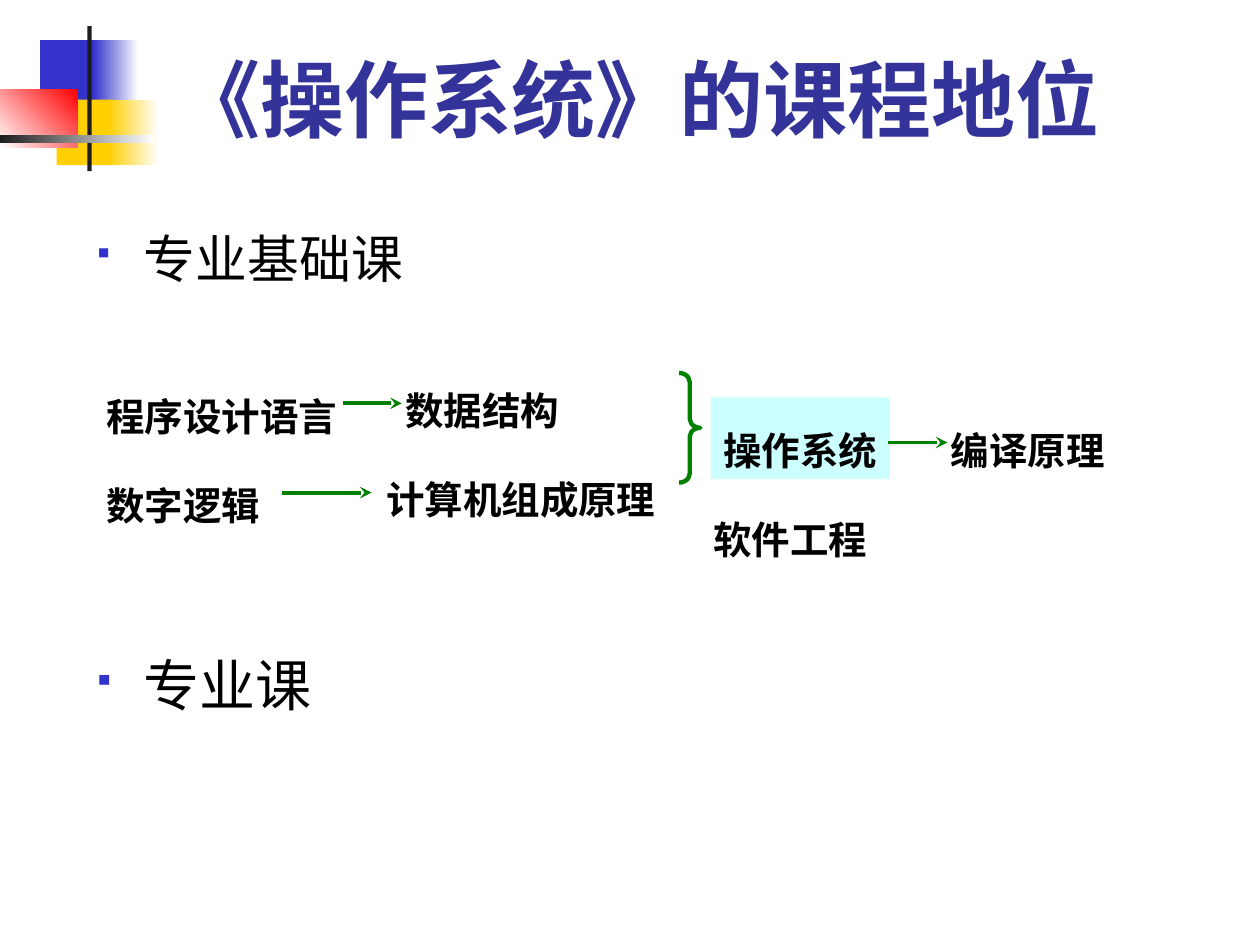
import pptx
import pptx.dml.color
import pptx.enum.shapes
import pptx.enum.text
import pptx.oxml
import pptx.oxml.ns
import pptx.util
from pptx.util import Cm, Pt

RGBColor = pptx.dml.color.RGBColor
MSO_SHAPE = pptx.enum.shapes.MSO_SHAPE
ANCHOR = pptx.enum.text.MSO_ANCHOR
BLUE = RGBColor(0x33, 0x33, 0xCC)
NAVY = RGBColor(0x33, 0x33, 0x99)
YELLOW = RGBColor(0xFF, 0xCF, 0x01)
RED = RGBColor(0xFF, 0x00, 0x00)
DARK = RGBColor(0x1C, 0x1C, 0x1C)
GREEN = RGBColor(0x00, 0x80, 0x00)
CYAN = RGBColor(0xCC, 0xFF, 0xFF)
WHITE = RGBColor(0xFF, 0xFF, 0xFF)
BLACK = RGBColor(0x00, 0x00, 0x00)
NAMESPACE = pptx.oxml.ns.nsdecls("a")

deck = pptx.Presentation()
deck.slide_width = Cm(25.4)
deck.slide_height = Cm(19.05)
page = deck.slides.add_slide(deck.slide_layouts[6])


def add_text(words, left, top, width, height, size, color=BLACK, bold=False,
             spacing=1.0, before=0.0, wrap=True):
    """Add a one-paragraph text box and return it."""
    box = page.shapes.add_textbox(Cm(left), Cm(top), Cm(width), Cm(height))
    box.text_frame.word_wrap = wrap
    para = box.text_frame.paragraphs[0]
    para.line_spacing = spacing
    para.space_before = Pt(before)
    span = para.add_run()
    span.text = words
    span.font.name = "Lato"
    span.font.size = Pt(size)
    span.font.bold = bold
    span.font.color.rgb = color
    return box


# Corner ornament: left, top, width, height, start colour, end colour, angle
ornament = [
    (0.81, 0.81, 1.22, 1.32, BLUE, None, 0),
    (1.88, 0.81, 0.91, 1.32, BLUE, WHITE, 0),
    (1.14, 2.01, 1.17, 1.32, YELLOW, None, 0),
    (2.18, 2.01, 1.02, 1.32, YELLOW, WHITE, 0),
    (0, 1.8, 1.57, 1.17, WHITE, RED, 45),
    (1.76, 0.53, 0.09, 2.92, DARK, None, 0),
    (0, 2.72, 3.1, 0.16, DARK, WHITE, 0),
]
for left, top, width, height, start, end, angle in ornament:
    block = page.shapes.add_shape(MSO_SHAPE.RECTANGLE, Cm(left), Cm(top), Cm(width), Cm(height))
    block.shadow.inherit = False
    block.line.fill.background()
    if end is None:
        block.fill.solid()
        block.fill.fore_color.rgb = start
    else:
        block.fill.gradient()
        block.fill.gradient_angle = angle
        for stop, color in zip(block.fill.gradient_stops, (start, end)):
            stop.color.rgb = color

title = add_text("《操作系统》的课程地位", 3.3, 0.53, 21.64, 2.59, 48, NAVY, bold=True)
title.text_frame.vertical_anchor = ANCHOR.BOTTOM

# Bulleted headings; the Wingdings section sign draws a small square
for words, top, size, spacing in [("专业基础课", 3.94, 29.6, 1.4), ("专业课", 12.32, 32, 1.5)]:
    heading = add_text(words, 1.7, top, 22.6, 2, size, spacing=spacing, before=8)
    properties = heading.text_frame.paragraphs[0]._p.get_or_add_pPr()
    properties.set("marL", str(Cm(0.95)))
    properties.set("indent", str(Cm(-0.95)))
    for markup in (
        f'<a:buClr {NAMESPACE}><a:srgbClr val="{BLUE}"/></a:buClr>',
        f'<a:buSzPct {NAMESPACE} val="60000"/>',
        f'<a:buFont {NAMESPACE} typeface="Wingdings" charset="2"/>',
        f'<a:buChar {NAMESPACE} char="§"/>',
    ):
        properties.append(pptx.oxml.parse_xml(markup))

# Courses: name, left, top, width, wraps, fill
courses = [
    ("程序设计语言", 1.9, 7.34, 5.66, True, None),
    ("数据结构", 7.92, 7.21, 3.63, False, None),
    ("数字逻辑", 1.9, 9.12, 4.06, True, None),
    ("计算机组成原理", 7.54, 9, 6.1, False, None),
    ("操作系统", 14.33, 8.01, 3.61, False, CYAN),
    ("编译原理", 18.92, 8.01, 3.63, False, None),
    ("软件工程", 14.13, 9.82, 3.63, False, None),
]
for words, left, top, width, wrap, color in courses:
    course = add_text(words, left, top, width, 1.65, 22, bold=True,
                      spacing=1.5, before=5.5, wrap=wrap)
    course.text_frame.paragraphs[0].alignment = pptx.enum.text.PP_ALIGN.LEFT
    if color is not None:
        course.fill.solid()
        course.fill.fore_color.rgb = color

# Arrows between courses: start, end, height on the page
for start, end, level in [(6.91, 8.1, 8.13), (5.69, 7.49, 9.93), (17.91, 19.1, 8.92)]:
    arrow = page.shapes.add_connector(
        pptx.enum.shapes.MSO_CONNECTOR.STRAIGHT, Cm(start), Cm(level), Cm(end), Cm(level))
    arrow.line.color.rgb = GREEN
    arrow.line.width = Pt(2.24)
    arrow.line._get_or_add_ln().append(
        pptx.oxml.parse_xml(f'<a:tailEnd {NAMESPACE} type="stealth"/>'))
    arrow._element.spPr.append(pptx.oxml.parse_xml(f"<a:effectLst {NAMESPACE}/>"))

brace = page.shapes.add_shape(MSO_SHAPE.RIGHT_BRACE, Cm(13.69), Cm(7.52), Cm(0.43), Cm(2.21))
brace.shadow.inherit = False
brace.adjustments[0] = 0.42
brace.fill.background()
brace.line.color.rgb = GREEN
brace.line.width = Pt(2.49)

deck.save("out.pptx")
